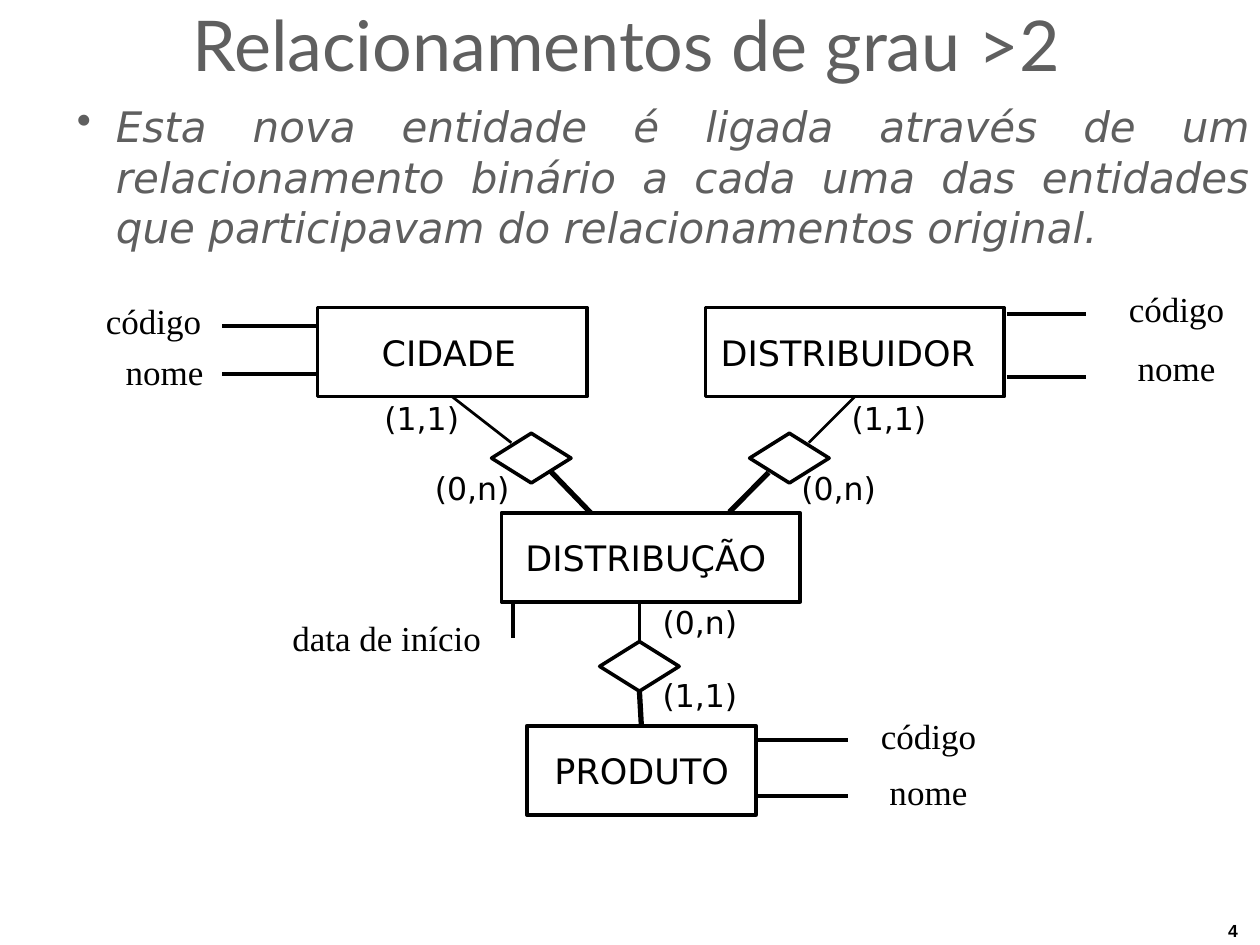
from lxml.etree import SubElement
from pptx import Presentation
from pptx.dml.color import RGBColor
from pptx.enum.shapes import MSO_CONNECTOR, MSO_SHAPE
from pptx.enum.text import MSO_ANCHOR, PP_ALIGN
from pptx.oxml.ns import qn
from pptx.util import Pt

BLACK, WHITE, GREY = "000000", "FFFFFF", "5F5F5F"
SANS, SERIF = "DejaVu Sans", "Times New Roman"
ENTITY_HEIGHT = 51
DIAMOND_SIZE = (45.4, 28.4)
ATTRIBUTE_WIDTH, THIN, THICK = 2.28, 1.56, 3


def color(value):
    return RGBColor.from_string(value)


def set_margins(frame, left=0, top=0):
    frame.margin_left, frame.margin_top = Pt(left), Pt(top)
    frame.margin_right = frame.margin_bottom = 0
    frame.word_wrap = True


def style(para, font, size, shade=BLACK, indent=0, hanging=0):
    properties = para._p.get_or_add_pPr()
    properties.set("marL", str(Pt(indent)))
    properties.set("indent", str(Pt(-hanging)))
    para.font.name = font
    para.font.size = Pt(size)
    para.font.color.rgb = color(shade)


def add_text(page, box, lines, font, size, shade=BLACK, top=0.7, gap=0):
    frame = page.shapes.add_textbox(*map(Pt, box)).text_frame
    set_margins(frame, top=top)
    for number, (words, indent) in enumerate(lines):
        para = frame.add_paragraph() if number else frame.paragraphs[0]
        para.text = words
        style(para, font, size, shade, indent)
        if number:
            para.space_before = Pt(gap)
    return frame


def add_outline(page, preset, box):
    shape = page.shapes.add_shape(preset, *map(Pt, box))
    shape.shadow.inherit = False
    shape.fill.solid()
    shape.fill.fore_color.rgb = color(WHITE)
    shape.line.color.rgb = color(BLACK)
    shape.line.width = Pt(2.04)
    return shape


def add_entity(page, left, top, width, name, indent):
    shape = add_outline(page, MSO_SHAPE.RECTANGLE, (left, top, width, ENTITY_HEIGHT))
    frame = shape.text_frame
    set_margins(frame, left=indent)
    frame.vertical_anchor = MSO_ANCHOR.MIDDLE
    para = frame.paragraphs[0]
    para.text = name
    para.alignment = PP_ALIGN.LEFT
    style(para, SANS, 20)
    return shape


def add_diamond(page, left, top):
    return add_outline(page, MSO_SHAPE.DIAMOND, (left, top, *DIAMOND_SIZE))


def add_line(page, start, end, width):
    line = page.shapes.add_connector(MSO_CONNECTOR.STRAIGHT, *map(Pt, (*start, *end)))
    line.line.color.rgb = color(BLACK)
    line.line.width = Pt(width)
    SubElement(line._element.spPr, qn("a:effectLst"))
    return line


def add_heading(page, box):
    add_text(page, box, [("Relacionamentos de grau >2", 0)], "Lato", 40, GREY)


def add_statement(page, box):
    frame = page.shapes.add_textbox(*map(Pt, box)).text_frame
    set_margins(frame, top=0.7)
    para = frame.paragraphs[0]
    para.text = (
        "Esta nova entidade é ligada através de um relacionamento binário a cada "
        "uma das entidades que participavam do relacionamentos original."
    )
    para.alignment = PP_ALIGN.JUSTIFY
    SubElement(para._p.get_or_add_pPr(), qn("a:buChar")).set("char", "•")
    style(para, SANS, 24, GREY, indent=23.8, hanging=22.3)
    para.font.italic = True


def add_attributes(page, box, second_indent, top, gap, line_left, line_width, line_tops):
    add_text(page, box, [("código", 0.7), ("nome", second_indent)], SERIF, 20,
             top=top, gap=gap)
    for line_top in line_tops:
        add_line(page, (line_left, line_top), (line_left + line_width, line_top),
                 ATTRIBUTE_WIDTH)


def add_diagram(page, box):
    left, top, width, height = box

    def at(across, down):
        return left + across, top + down

    city = add_entity(page, *at(121.6, 10.1), 154, "CIDADE", 36.7)
    dealer = add_entity(page, *at(343.4, 10.1), 170.6, "DISTRIBUIDOR", 8.6)
    distribution = add_entity(page, *at(226.8, 127.4), 170.6, "DISTRIBUÇÃO", 13.7)
    product = add_entity(page, *at(241.2, 249.1), 131, "PRODUTO", 15.8)

    add_diamond(page, *at(221.1, 82))
    add_diamond(page, *at(368.6, 82))
    lower_diamond = add_diamond(page, *at(282.9, 201))

    city_link = add_line(page, at(198.6, 61.1), at(232.4, 87.4), THIN)
    city_link.begin_connect(city, 2)
    dealer_link = add_line(page, at(428.7, 61.1), at(402.4, 87.4), THIN)
    dealer_link.begin_connect(dealer, 2)
    add_line(page, at(254.8, 103.7), at(277.7, 127.4), THICK)
    add_line(page, at(379.4, 104.4), at(357, 127), THICK)
    lower_link = add_line(page, at(305.6, 178.4), at(305.6, 201), THIN)
    lower_link.end_connect(lower_diamond, 0)
    product_link = add_line(page, at(305.6, 229.4), at(306.7, 249.1), THICK)
    product_link.begin_connect(lower_diamond, 2)
    product_link.end_connect(product, 0)

    pairs = [
        (219, [("(1,1)", 0.7), ("(0,n)", 29.5)]),
        (457.2, [("(1,1)", 29.5), ("(0,n)", 0.7)]),
    ]
    for label_left, lines in pairs:
        add_text(page, (label_left, top + 61.7, 76.3, 63.4), lines, SANS, 18, gap=18.1)
    for down, words in ((178.4, "(0,n)"), (220.1, "(1,1)")):
        add_text(page, (*at(318.2, down), 47.5, 23.8), [(words, 0.7)], SANS, 18)

    add_attributes(page, (*at(0, 0), 57.6, 59), 12, 5.8, 4.6,
                   left + 67.2, 54, (top + 20.9, top + 48.2))
    add_attributes(page, (*at(584.6, -11.5), 57.6, 69.8), 5.7, 10.4, 9.7,
                   left + 515.5, 45.4, (top + 13.7, top + 49.7))
    add_attributes(page, (*at(442.8, 234), 57.6, 67), 5.7, 8.7, 8,
                   left + 371.5, 53.3, (top + 257, top + 289.4))
    add_text(page, (*at(106.5, 185.8), 110, 25.9), [("data de início", 0.7)], SERIF, 20)
    add_line(page, at(233.2, 178.4), at(233.2, 199), ATTRIBUTE_WIDTH)


def add_page_number(page, box):
    frame = add_text(page, box, [("4", 2)], "Arial", 10, top=0)
    frame.paragraphs[0].font.bold = True


def main():
    deck = Presentation()
    deck.slide_width, deck.slide_height = Pt(720), Pt(540)
    page = deck.slides.add_slide(deck.slide_layouts[6])
    add_heading(page, (110.2, 0, 512, 49.7))
    add_statement(page, (42.5, 56.9, 671.8, 88.6))
    add_diagram(page, (59.8, 165.6, 642, 301))
    add_page_number(page, (699.8, 525.6, 15.1, 13))
    deck.save("out.pptx")


if __name__ == "__main__":
    main()
